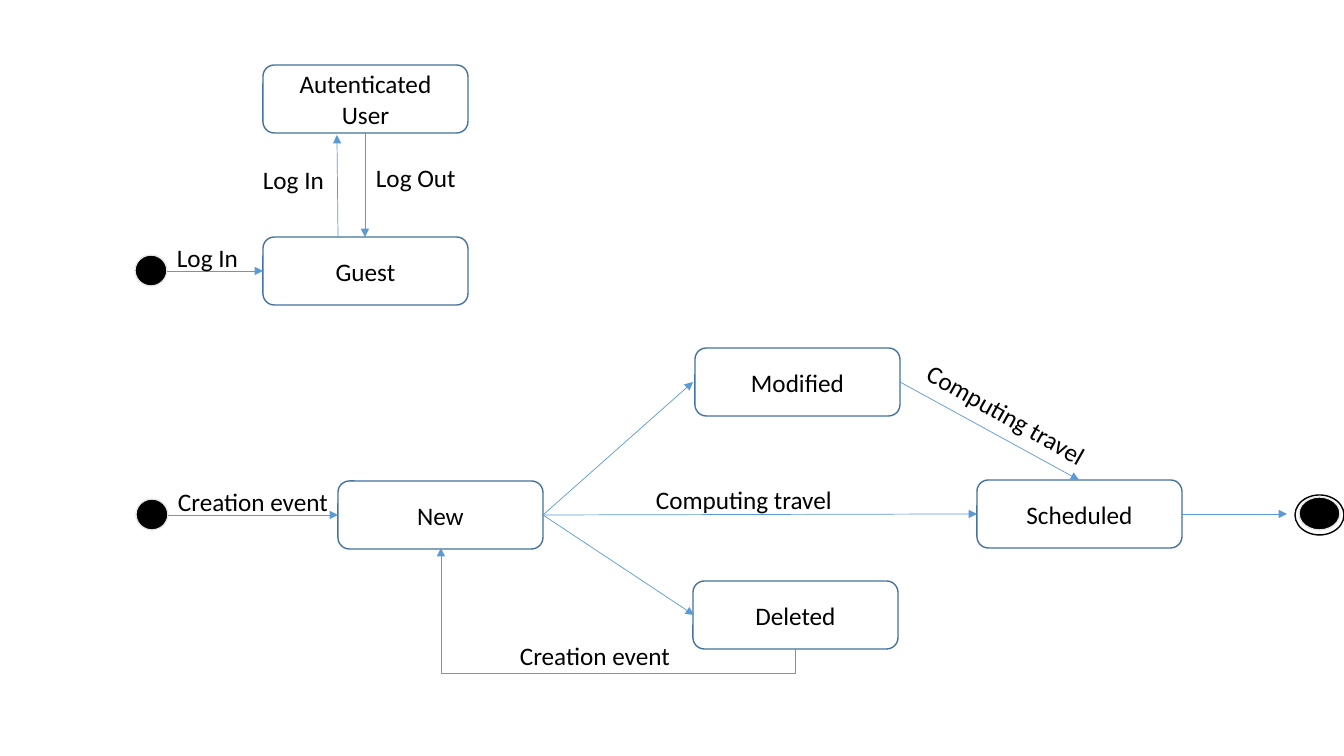
from lxml import etree
from pptx import Presentation
from pptx.dml.color import RGBColor
from pptx.enum.shapes import MSO_CONNECTOR as LINK, MSO_SHAPE as SHAPE
from pptx.enum.text import MSO_ANCHOR as ANCHOR, MSO_AUTO_SIZE as FIT, PP_ALIGN as ALIGN
from pptx.oxml.ns import qn
from pptx.util import Pt

PIXEL = 914400 / 100.8
COLORS = {"white": "FFFFFF", "black": "000000", "arrow": "5B9BD5",
          "border": "43739E", "pale": "E7E6E6"}
STATE_W, STATE_H = 205, 68


def emu(*pixels):
    return [round(value * PIXEL) for value in pixels]


def write(shape, text, align=ALIGN.LEFT, anchor=ANCHOR.TOP, wrap=True, fit=FIT.NONE):
    frame = shape.text_frame
    frame.text = text
    frame.word_wrap, frame.auto_size, frame.vertical_anchor = wrap, fit, anchor
    for para in frame.paragraphs:
        para.alignment = align
        for span in para.runs:
            span.font.name, span.font.size = "Calibri", Pt(18)
            span.font.color.rgb = RGBColor.from_string(COLORS["black"])


deck = Presentation()
deck.slide_width, deck.slide_height = emu(1344, 756)
page = deck.slides.add_slide(deck.slide_layouts[6])

# States, plus start and end markers: preset, fill, line, left, top, width, height, text
states = {"Autenticated\nUser": (263, 65), "Guest": (263, 237), "New": (338, 481),
          "Modified": (695, 348), "Deleted": (693, 581), "Scheduled": (977, 480)}
nodes = [(SHAPE.ROUNDED_RECTANGLE, "white", "border", left, top, STATE_W, STATE_H, text)
         for text, (left, top) in states.items()]
nodes += [
    (SHAPE.OVAL, "black", "pale", 135, 255, 32, 31, ""),
    (SHAPE.OVAL, "black", "pale", 136, 499, 32, 31, ""),
    (SHAPE.OVAL, "white", "black", 1295, 495, 49, 40, ""),
    (SHAPE.OVAL, "black", "pale", 1299, 497, 41, 33, ""),
]
for preset, fill, line, left, top, width, height, text in nodes:
    node = page.shapes.add_shape(preset, *emu(left, top, width, height))
    node.shadow.inherit = False
    node.fill.solid()
    node.fill.fore_color.rgb = RGBColor.from_string(COLORS[fill])
    node.line.color.rgb = RGBColor.from_string(COLORS[line])
    node.line.width = Pt(1)
    if text:
        write(node, text, align=ALIGN.CENTER, anchor=ANCHOR.MIDDLE)

# Transitions: kind, start x, start y, end x, end y
# The elbow is laid out upright here and turned a quarter below
transitions = [
    (LINK.STRAIGHT, 167, 271, 263, 271),
    (LINK.STRAIGHT, 365, 132, 365, 237),
    (LINK.STRAIGHT, 338, 237, 337, 135),
    (LINK.STRAIGHT, 168, 515, 338, 515),
    (LINK.STRAIGHT, 543, 515, 693, 382),
    (LINK.STRAIGHT, 543, 515, 694, 615),
    (LINK.STRAIGHT, 543, 515, 977, 514),
    (LINK.STRAIGHT, 900, 382, 1079, 480),
    (LINK.STRAIGHT, 1182, 514, 1287, 514),
    (LINK.ELBOW, 668, 421, 568, 775),
]
for kind, *ends in transitions:
    arrow = page.shapes.add_connector(kind, *emu(*ends))
    arrow.line.color.rgb = RGBColor.from_string(COLORS["arrow"])
    arrow.line.width = Pt(0.5)
    properties = arrow._element.spPr
    etree.SubElement(properties.find(qn("a:ln")), qn("a:tailEnd"), type="triangle")
    etree.SubElement(properties, qn("a:effectLst"))
    if kind == LINK.ELBOW:
        properties.find(qn("a:xfrm")).set("rot", "5400000")
        guides = properties.find(qn("a:prstGeom")).get_or_add_avLst()
        etree.SubElement(guides, qn("a:gd"), name="adj1", fmla="val -25000")

# Transition labels: text, left, top, width, rotation, wrap
labels = [
    ("Log In", 167, 237, 83, 0, True),
    ("Log Out", 366, 157, 101, 0, False),
    ("Log In", 253, 159, 83, 0, True),
    ("Creation event", 168, 481, 191, 0, True),
    ("Computing travel", 646, 479, 265, 0, True),
    ("Computing travel", 904, 411, 265, 29.4, True),
    ("Creation event", 510, 635, 202, 0, True),
]
for text, left, top, width, turn, wrap in labels:
    label = page.shapes.add_textbox(*emu(left, top, width, 40))
    label.rotation = turn
    write(label, text, wrap=wrap, fit=FIT.SHAPE_TO_FIT_TEXT)

deck.save("out.pptx")
